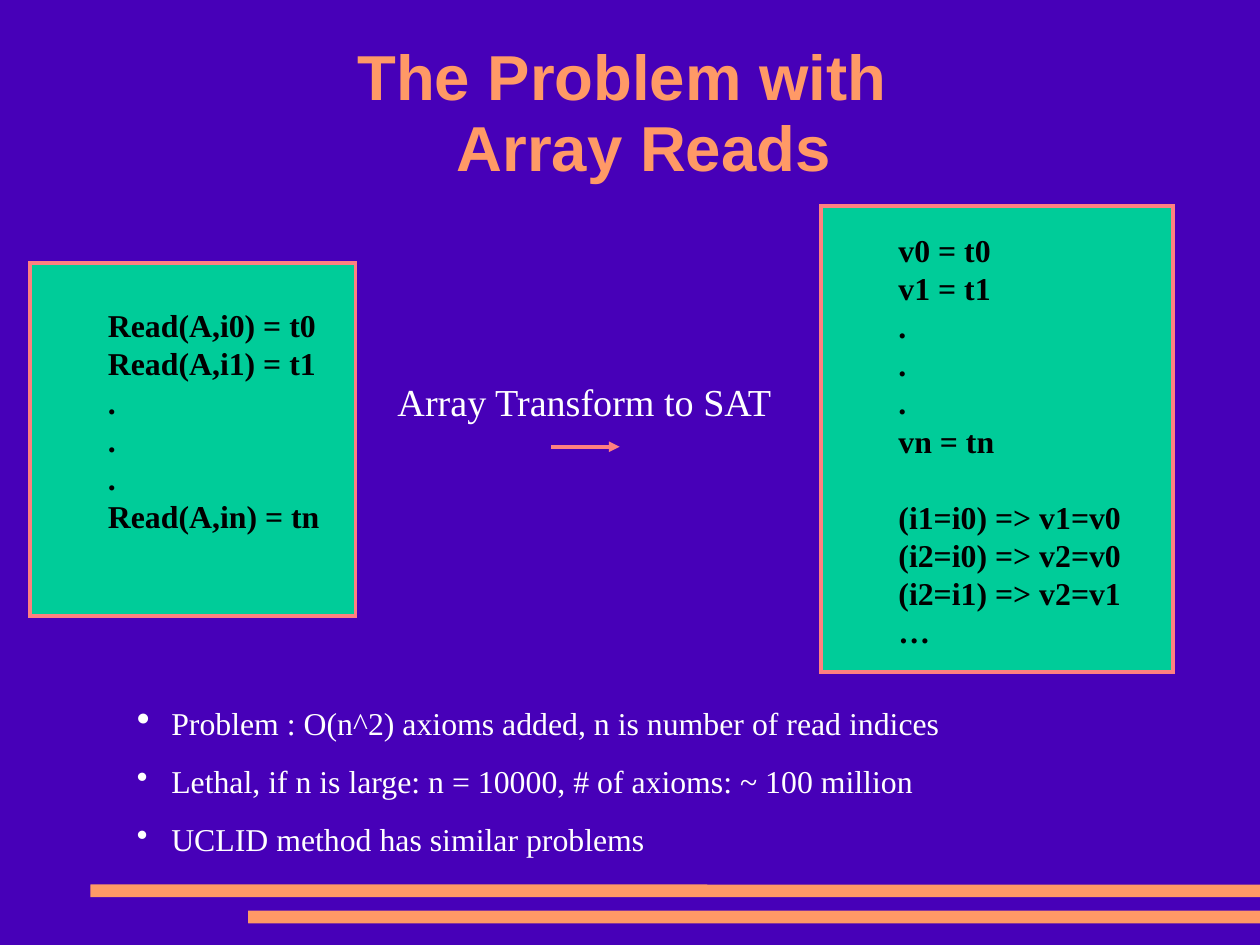
from lxml.etree import SubElement as Sub
from pptx import Presentation
from pptx.dml.color import RGBColor as Rgb
from pptx.enum.shapes import MSO_CONNECTOR as Link, MSO_SHAPE as Form
from pptx.enum.text import MSO_ANCHOR as Anchor, PP_ALIGN as Align
from pptx.oxml.ns import qn
from pptx.util import Cm, Inches, Pt

NIGHT, PEACH, ROSE, GREEN = "4700B8", "FF9966", "FF8080", "00CC99"
WHITE, BLACK = "FFFFFF", "000000"
SERIF, SANS = "Times New Roman", "Arial"


def tint(code):
    return Rgb.from_string(code)


class Deck:
    """Draws styled elements, placed in percent of the slide's width and height."""

    def __init__(self, wide, high):
        self.show = Presentation()
        self.show.slide_width, self.show.slide_height = Cm(wide), Cm(high)
        self.page = self.show.slides.add_slide(self.show.slide_layouts[6])
        back = self.page.background.fill
        back.solid()
        back.fore_color.rgb = tint(NIGHT)

    def place(self, *marks):
        sides = self.show.slide_width, self.show.slide_height
        return [int(sides[i % 2] * mark / 100) for i, mark in enumerate(marks)]

    def block(self, area, fill, edge=None, form=Form.RECTANGLE):
        item = self.page.shapes.add_shape(form, *self.place(*area))
        item.shadow.inherit = False
        item.fill.solid()
        item.fill.fore_color.rgb = tint(fill)
        if edge:
            item.line.color.rgb = tint(edge)
            item.line.width = Pt(2.25)
            Sub(item.line._get_or_add_ln(), qn("a:miter"), lim="800000")
        else:
            item.line.fill.background()
        return item

    def bar(self, left, top):
        area = left, top, 100 - left, 1.33
        self.block(area, PEACH, form=Form.ROUNDED_RECTANGLE).adjustments[0] = 0.02

    def arrow(self, *ends):
        item = self.page.shapes.add_connector(Link.STRAIGHT, *self.place(*ends))
        item.line.color.rgb = tint(ROSE)
        item.line.width = Pt(2.25)
        Sub(item.line._get_or_add_ln(), qn("a:tailEnd"), type="triangle")
        Sub(item._element.spPr, qn("a:effectLst"))

    def text(self, area, lines, size=20, face=SERIF, hue=WHITE, bold=False,
             align=Align.LEFT, pitch=0.93, left=0, first=0, gaps=(),
             dots=(), inset=True):
        frame = self.page.shapes.add_textbox(*self.place(*area)).text_frame
        frame.word_wrap = True
        if not inset:
            frame.margin_left = frame.margin_right = 0
            frame.margin_top = frame.margin_bottom = 0
            frame.vertical_anchor = Anchor.MIDDLE
        for i, line in enumerate(lines):
            para = frame.paragraphs[0] if i == 0 else frame.add_paragraph()
            para.text = line
            props = para._p.get_or_add_pPr()
            props.set("marL", str(Inches(left)))
            props.set("indent", str(Inches(first)))
            if dots:
                shade = Sub(props, qn("a:buClr"))
                Sub(shade, qn("a:srgbClr"), val=hue)
                Sub(props, qn("a:buSzPct"), val=str(dots[i] * 1000))
                Sub(props, qn("a:buChar"), char="•")
            para.alignment = align
            para.line_spacing = pitch
            if gaps and gaps[i]:
                para.space_before = Pt(gaps[i])
            font = para.font
            font.name, font.size, font.bold = face, Pt(size), bold
            font.color.rgb = tint(hue)

    def panel(self, area, inner, lines, gaps=()):
        self.block(area, GREEN, ROSE)
        self.text(inner, lines, hue=BLACK, bold=True, pitch=Pt(24),
                  left=0.5, gaps=gaps)


def main():
    deck = Deck(28, 21)
    deck.bar(7.17, 93.6)
    deck.bar(19.69, 96.37)
    deck.text((7.35, 3.75, 85.39, 16.69), ["The Problem with \vArray Reads"],
              size=40, face=SANS, hue=PEACH, bold=True, align=Align.CENTER,
              left=0.23, first=-0.23, inset=False)

    dots = ["."] * 3
    deck.panel((2.36, 27.81, 25.86, 37.36), (3.14, 31.8, 24.14, 25.39),
               ["Read(A,i0) = t0", "Read(A,i1) = t1", *dots, "Read(A,in) = tn"])
    deck.arrow(43.74, 47.28, 49.18, 47.28)
    reads = ["v0 = t0", "v1 = t1", *dots, "vn = tn"]
    rules = ["(i1=i0) => v1=v0", "(i2=i0) => v2=v0", "(i2=i1) => v2=v1", "…"]
    deck.panel((65.15, 21.77, 27.95, 49.33), (65.88, 23.82, 26.5, 45.59),
               reads + rules, gaps=[0] * len(reads) + [24, 0, 0, 0])

    deck.text((9.98, 73.9, 83.94, 17.6), [
        "Problem : O(n^2) axioms added, n is number of read indices",
        "Lethal, if n is large: n = 10000, # of axioms: ~ 100 million",
        "UCLID method has similar problems",
    ], pitch=Pt(24), left=0.3, first=-0.3, gaps=(0, 12.5, 12.5),
        dots=(120, 100, 100))
    deck.text((30.4, 39.9, 31.94, 5.68), ["Array Transform to SAT"],
              size=24, align=Align.CENTER)
    deck.show.save("out.pptx")


if __name__ == "__main__":
    main()
